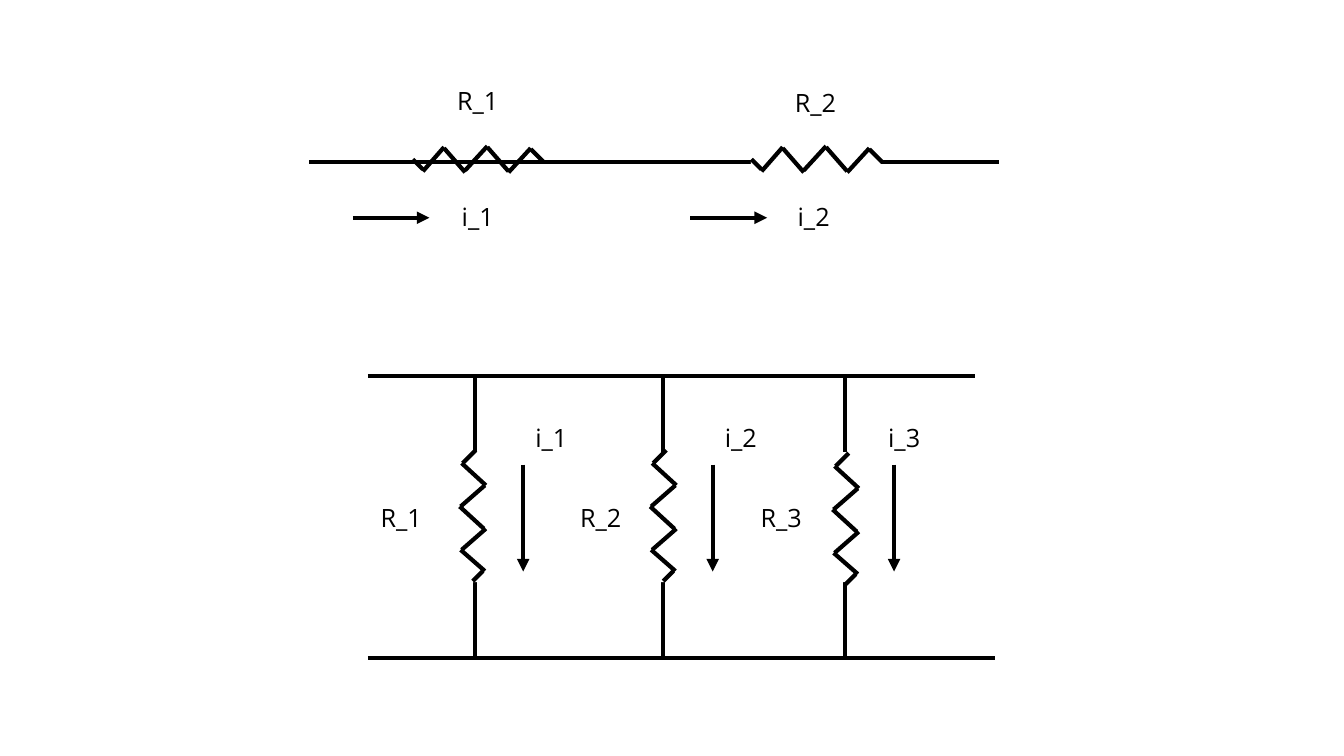
from pptx import Presentation
from pptx.dml.color import RGBColor
from pptx.enum.shapes import MSO_CONNECTOR, MSO_SHAPE
from pptx.enum.text import MSO_AUTO_SIZE, PP_ALIGN
from pptx.oxml.ns import qn
from pptx.util import Inches, Pt
from lxml.etree import SubElement

COLORS = {"ink": "000000", "paper": "FFFFFF"}
LABEL_FONT = {"name": "Open Sans", "size": Pt(18)}
LABEL_FRAME = {"word_wrap": True, "auto_size": MSO_AUTO_SIZE.SHAPE_TO_FIT_TEXT}

# Grid of tenth-inch cells: 133.33 columns by 75 rows
CELL = Inches(0.1)
LABEL_SIZE = (9.6, 4)
MASK_SIZE = (12.9, 5.4)

# Strokes of a resistor, in cells from its centre
ZIGZAG = [
    ((-5.5, 1.2), (-3.4, -1.2)),
    ((-1.3, 1.3), (-3.4, -1.1)),
    ((-1.3, 1.1), (0.9, -1.3)),
    ((3, 1.2), (0.9, -1.2)),
    ((3, 1.3), (5.2, -1.1)),
    ((6.5, 0.3), (5.2, -1)),
    ((-5.5, 1), (-6.5, 0)),
]


def cells(*counts):
    return [round(count * CELL) for count in counts]


def draw_line(shapes, start, end, arrow=False):
    line = shapes.add_connector(MSO_CONNECTOR.STRAIGHT, *cells(*start, *end))
    line.line.color.rgb = RGBColor.from_string(COLORS["ink"])
    line.line.width = Pt(3)
    properties = line._element.spPr
    if arrow:
        SubElement(properties.find(qn("a:ln")), qn("a:tailEnd"), type="triangle")
    SubElement(properties, qn("a:effectLst"))


deck = Presentation()
deck.slide_width, deck.slide_height = cells(133.33, 75)
page = deck.slides.add_slide(deck.slide_layouts[6])
shapes = page.shapes

# Each branch: wire column, arrow column, R label, i label, resistor centre
branches = [
    (47.1, 51.9, 35, 49.9, (46.9, 51.15)),
    (65.8, 70.7, 54.8, 68.7, (65.8, 51.15)),
    (83.8, 88.7, 72.7, 84.9, (83.9, 51.45)),
]
labels = [("R_1", 42.6, 8), ("R_2", 76.1, 8.2),
          ("i_1", 42.6, 19.5), (" i_2", 75.6, 19.5)]
resistors = [((47.45, 15.8), False), ((81.05, 15.8), False)]
masks = [((80.95, 16.1), 0)]
arrows = [((left, 21.6), (left + 7.6, 21.6)) for left in (35, 68.5)]

# Series wire and the rails of the parallel circuit
wires = [((30.7, 16.1), (99.1, 16.1)),
         ((36.5, 37.3), (96.7, 37.3)),
         ((36.5, 65.3), (98.7, 65.3))]

# Parallel branches
for number, (column, arrow, name, current, centre) in enumerate(branches, 1):
    wires.append(((column, 65.3), (column, 37.3)))
    masks.append(((column - 0.05, 51.3), 270))
    arrows.append(((arrow, 46.1), (arrow, 56.7)))
    labels += [(f"R_{number}", name, 49.3), (f"i_{number}", current, 41.4)]
    resistors.append((centre, True))

for start, end in wires:
    draw_line(shapes, start, end)

# Gaps in the wires where resistors sit
for (x, y), turn in masks:
    width, height = MASK_SIZE
    mask = shapes.add_shape(MSO_SHAPE.RECTANGLE,
                            *cells(x - width / 2, y - height / 2, width, height))
    mask.rotation = turn
    mask.shadow.inherit = False
    mask.fill.solid()
    mask.fill.fore_color.rgb = RGBColor.from_string(COLORS["paper"])
    mask.line.fill.background()

# Labels
for text, left, top in labels:
    box = shapes.add_textbox(*cells(left, top, *LABEL_SIZE))
    for key, value in LABEL_FRAME.items():
        setattr(box.text_frame, key, value)
    para = box.text_frame.paragraphs[0]
    para.alignment = PP_ALIGN.CENTER
    span = para.add_run()
    span.text = text
    for key, value in LABEL_FONT.items():
        setattr(span.font, key, value)
    span.font.color.rgb = RGBColor.from_string(COLORS["ink"])

# Current arrows
for start, end in arrows:
    draw_line(shapes, start, end, arrow=True)

# Resistors, turned a quarter to the left in the branches
for (x, y), upright in resistors:
    group = shapes.add_group_shape()
    for stroke in ZIGZAG:
        ends = [(x + down, y - along) if upright else (x + along, y + down)
                for along, down in stroke]
        draw_line(group.shapes, *ends)

deck.save("out.pptx")
